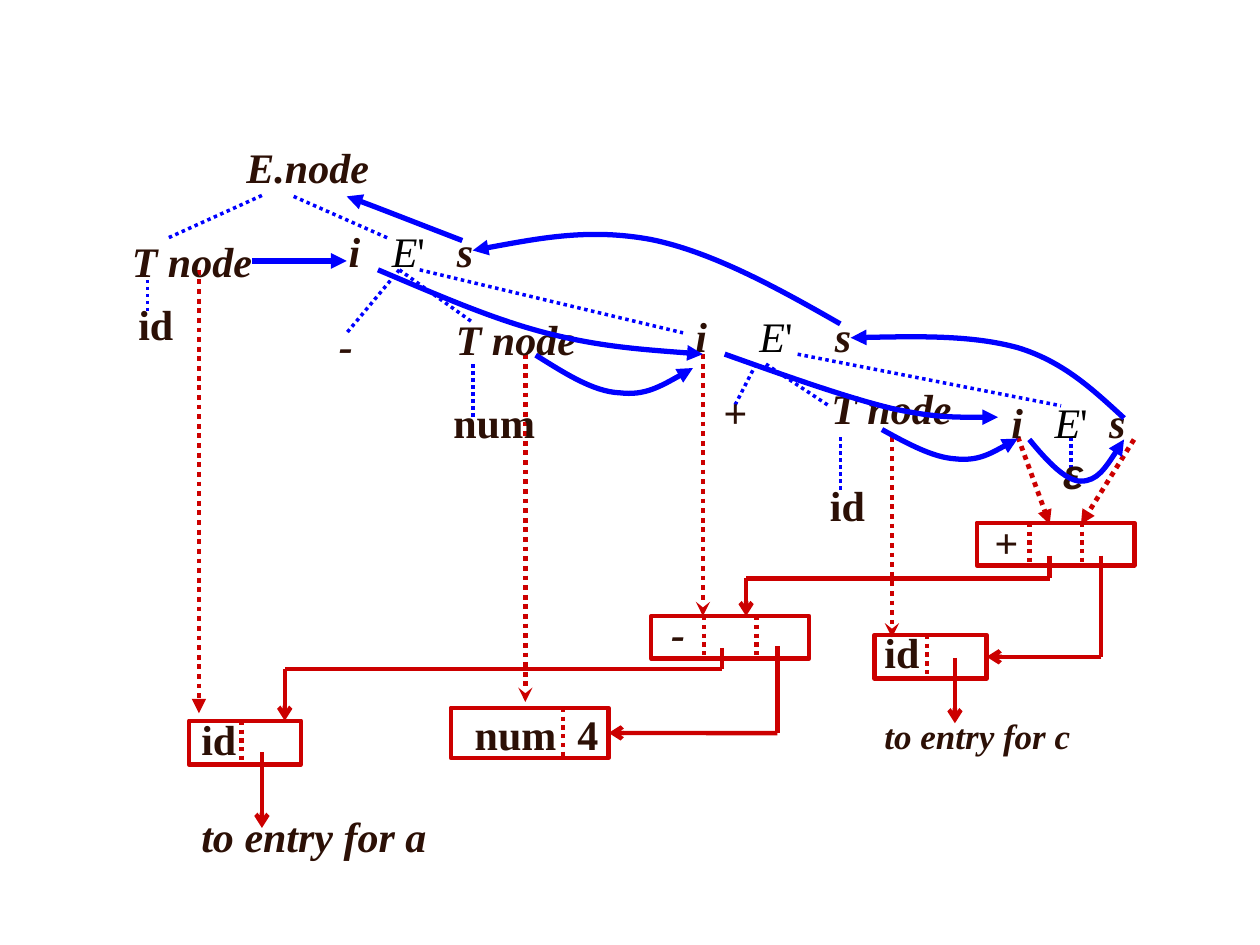
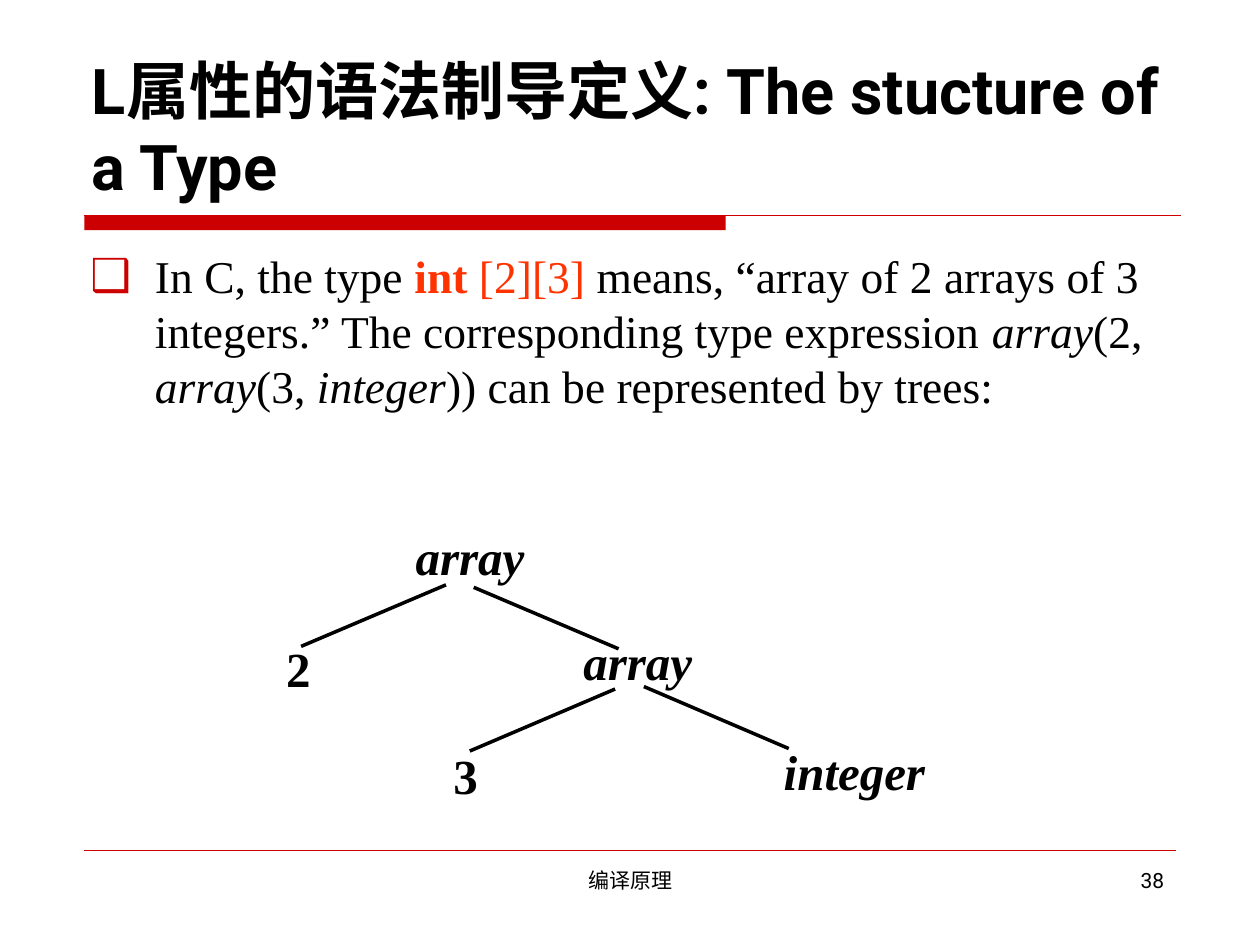
from dataclasses import dataclass
from itertools import pairwise

from lxml.etree import SubElement
from pptx import Presentation
from pptx.dml.color import RGBColor
from pptx.enum.dml import MSO_LINE
from pptx.enum.shapes import MSO_CONNECTOR, MSO_SHAPE
from pptx.enum.text import MSO_ANCHOR, PP_ALIGN
from pptx.oxml.ns import qn
from pptx.util import Cm, Pt

COLORS = {
    "flow": "0000FF",
    "red": "CC0000",
    "ink": "2C1006",
    "black": "000000",
    "code": "FF3300",
}


def style(name, size, color, bold=False, italic=False):
    return {"name": name, "size": Pt(size), "bold": bold, "italic": italic}, color


SERIF, SANS = "Times New Roman", "Roboto"
STYLES = {
    "attribute": style(SERIF, 24, "ink", True, True),
    "token": style(SERIF, 24, "ink", True),
    "epsilon": style("Arial", 24, "ink", True, True),
    "entry": style(SERIF, 20, "ink", True, True),
    "symbol": style(SERIF, 24, "black", False, True),
    "prime": style(SERIF, 24, "black"),
    "title": style(SANS, 36, "black", True),
    "footer": style(SANS, 12, "black"),
    "body": style(SERIF, 26, "black"),
    "body italic": style(SERIF, 26, "black", False, True),
    "type name": style(SERIF, 26, "code", True),
    "type size": style(SERIF, 26, "code"),
    "constructor": style(SERIF, 28, "black", True, True),
    "number": style(SERIF, 28, "black", True),
}


@dataclass
class Label:
    left: float
    top: float
    width: float
    runs: tuple
    height: float = 1.27
    inset: tuple = (0.25, 0.13)
    align: PP_ALIGN = PP_ALIGN.LEFT


@dataclass
class Record:
    left: float
    top: float
    width: float
    height: float
    cell: float
    dividers: int


@dataclass
class Stroke:
    color: str
    width: float
    dotted: bool = False
    head: str = ""


BRANCH = Stroke("flow", 2, dotted=True)
FLOW = Stroke("flow", 3, head="triangle")
BORDER = Stroke("red", 2.5)
DIVIDER = Stroke("red", 2.5, dotted=True)
POINTER = Stroke("red", 2.5, head="arrow")
NODE_LINK = Stroke("red", 2.75, dotted=True, head="triangle")
STEALTH_LINK = Stroke("red", 2.75, dotted=True, head="stealth")
TREE_EDGE = Stroke("black", 2)


def rgb(key: str) -> RGBColor:
    return RGBColor.from_string(COLORS[key])


def apply_stroke(line, stroke: Stroke) -> None:
    line.color.rgb = rgb(stroke.color)
    line.width = Pt(stroke.width)
    if stroke.dotted:
        line.dash_style = MSO_LINE.ROUND_DOT
    if stroke.head:
        SubElement(line._get_or_add_ln(), qn("a:tailEnd"), type=stroke.head)


def draw_line(slide, start: tuple, end: tuple, stroke: Stroke):
    connector = slide.shapes.add_connector(
        MSO_CONNECTOR.STRAIGHT, *map(Cm, start + end))
    apply_stroke(connector.line, stroke)
    SubElement(connector._element.spPr, qn("a:effectLst"))
    return connector


def draw_pointer(slide, points: list, target=None) -> None:
    legs = list(pairwise(points))
    for start, end in legs[:-1]:
        draw_line(slide, start, end, BORDER)
    arrow = draw_line(slide, *legs[-1], POINTER)
    if target:
        arrow.end_connect(target, 3)


def draw_curve(slide, points: list) -> None:
    corners = [(Cm(x), Cm(y)) for x, y in points]
    builder = slide.shapes.build_freeform(*corners[0])
    builder.add_line_segments(corners[1:], close=False)
    curve = builder.convert_to_shape()
    outline = curve._element.spPr.find(".//" + qn("a:path"))
    segments = outline.findall(qn("a:lnTo"))
    for i in range(0, len(segments), 3):
        bezier = SubElement(outline, qn("a:cubicBezTo"))
        for segment in segments[i:i + 3]:
            bezier.append(segment[0])
            outline.remove(segment)
    curve.fill.background()
    curve.shadow.inherit = False
    apply_stroke(curve.line, FLOW)


def draw_record(slide, record: Record):
    box = slide.shapes.add_shape(
        MSO_SHAPE.RECTANGLE, Cm(record.left), Cm(record.top),
        Cm(record.width), Cm(record.height))
    box.fill.background()
    box.shadow.inherit = False
    apply_stroke(box.line, BORDER)
    for n in range(1, record.dividers + 1):
        x = record.left + n * record.cell
        draw_line(slide, (x, record.top), (x, record.top + record.height), DIVIDER)
    return box


def write_runs(paragraph, runs: tuple) -> None:
    for text, key in runs:
        run = paragraph.add_run()
        run.text = text
        formats, color = STYLES[key]
        for attribute, value in formats.items():
            setattr(run.font, attribute, value)
        run.font.color.rgb = rgb(color)


def draw_label(slide, label: Label) -> None:
    frame = slide.shapes.add_textbox(
        Cm(label.left), Cm(label.top), Cm(label.width), Cm(label.height)).text_frame
    side, edge = label.inset
    formats = {"word_wrap": True, "margin_left": Cm(side), "margin_right": Cm(side),
               "margin_top": Cm(edge), "margin_bottom": Cm(edge)}
    for attribute, value in formats.items():
        setattr(frame, attribute, value)
    frame.paragraphs[0].alignment = label.align
    write_runs(frame.paragraphs[0], label.runs)


def fill_placeholder(placeholder, box: tuple, runs: tuple, anchor: MSO_ANCHOR):
    for attribute, value in zip(("left", "top", "width", "height"), box):
        setattr(placeholder, attribute, Cm(value))
    placeholder.text_frame.vertical_anchor = anchor
    paragraph = placeholder.text_frame.paragraphs[0]
    paragraph.alignment = PP_ALIGN.LEFT
    write_runs(paragraph, runs)
    return paragraph


def draw_frame(slide, title: tuple, number: str) -> None:
    band = slide.shapes.add_shape(
        MSO_SHAPE.RECTANGLE, Cm(1.7), Cm(4.34), Cm(12.93), Cm(0.3))
    band.fill.solid()
    band.fill.fore_color.rgb = rgb("red")
    band.line.fill.background()
    band.shadow.inherit = False
    draw_line(slide, (1.7, 4.34), (23.8, 4.34), Stroke("red", 0.75))
    draw_line(slide, (1.7, 17.15), (23.7, 17.15), Stroke("red", 0.25))
    draw_label(slide, Label(8.69, 17.35, 8.05, (("编译原理", "footer"),),
                            align=PP_ALIGN.CENTER))
    draw_label(slide, Label(18.21, 17.35, 5.51, ((number, "footer"),),
                            align=PP_ALIGN.RIGHT))
    fill_placeholder(slide.shapes.title, (1.6, 0.84, 22.23, 3.38), title,
                     MSO_ANCHOR.BOTTOM)


def build_syntax_tree(deck) -> None:
    slide = deck.slides.add_slide(deck.slide_layouts[6])
    branches = [
        ((5.28, 3.94), (3.38, 4.8)), ((5.92, 3.96), (7.82, 4.8)),
        ((2.97, 5.64), (2.97, 6.27)), ((8.05, 5.44), (6.99, 6.71)),
        ((8.05, 5.44), (9.53, 6.5)), ((9.53, 7.34), (9.53, 8.41)),
        ((8.46, 5.44), (13.77, 6.71)), ((15.24, 7.34), (14.81, 8.18)),
        ((15.44, 7.34), (16.71, 8.18)), ((16.94, 8.81), (16.94, 9.88)),
        ((16.08, 7.14), (21.39, 8.18)), ((21.59, 8.81), (21.59, 9.45)),
    ]
    for start, end in branches:
        draw_line(slide, start, end, BRANCH)

    draw_record(slide, Record(19.69, 10.54, 3.18, 0.86, 1.06, 2))
    draw_record(slide, Record(13.13, 12.42, 3.18, 0.86, 1.06, 2))
    draw_record(slide, Record(3.81, 14.53, 2.26, 0.88, 1.06, 1))
    num_record = draw_record(slide, Record(9.09, 14.27, 3.18, 1.01, 2.26, 1))
    c_record = draw_record(slide, Record(17.63, 12.8, 2.26, 0.88, 1.06, 1))

    node_links = [
        ((20.52, 8.81), (21.16, 10.57), NODE_LINK),
        ((22.86, 8.86), (21.79, 10.57), NODE_LINK),
        ((4.01, 5.44), (4.01, 14.38), NODE_LINK),
        ((10.59, 7.14), (10.59, 14.15), STEALTH_LINK),
        ((14.17, 7.14), (14.17, 12.42), STEALTH_LINK),
        ((17.98, 8.81), (17.98, 12.85), STEALTH_LINK),
    ]
    for start, end, stroke in node_links:
        draw_line(slide, start, end, stroke)

    pointers = [
        ([(5.28, 15.16), (5.28, 16.69)], None),
        ([(19.25, 13.26), (19.25, 14.58)], None),
        ([(14.55, 13.06), (14.55, 13.49), (5.74, 13.49), (5.74, 14.53)], None),
        ([(15.67, 13.03), (15.67, 14.78), (12.27, 14.78)], num_record),
        ([(21.16, 11.2), (21.16, 11.66), (15.04, 11.66), (15.04, 12.42)], None),
        ([(22.2, 11.2), (22.2, 13.24), (19.89, 13.24)], c_record),
    ]
    for points, target in pointers:
        draw_pointer(slide, points, target)

    words = [
        (4.72, 2.72, 3.2, "E.node", "attribute"),
        (2.41, 4.62, 3.2, "T node", "attribute"),
        (8.94, 6.2, 3.2, "T node", "attribute"),
        (16.51, 7.59, 3.2, "T node", "attribute"),
        (6.58, 6.32, 1, "-", "attribute"),
        (14.33, 7.67, 1.2, "+", "attribute"),
        (19.79, 10.29, 1.2, "+", "attribute"),
        (13.28, 12.12, 1, "-", "attribute"),
        (21.18, 8.89, 1.2, "ε", "epsilon"),
        (2.54, 5.89, 1.5, "id", "token"),
        (16.48, 9.53, 1.5, "id", "token"),
        (3.81, 14.25, 1.5, "id", "token"),
        (17.58, 12.5, 1.5, "id", "token"),
        (8.89, 7.87, 2.5, "num", "token"),
        (9.32, 14.15, 2.5, "num", "token"),
        (11.39, 14.15, 1.2, "4", "token"),
        (3.81, 16.2, 6, "to entry for a", "attribute"),
        (17.58, 14.28, 5, "to entry for c", "entry"),
    ]
    for left, top, width, text, key in words:
        draw_label(slide, Label(left, top, width, ((text, key),)))

    expression_rests = [
        (4.42, 6.78, 7.65, 8.96),
        (6.12, 13.77, 15.06, 16.58),
        (7.87, 20.14, 21.01, 22.11),
    ]
    for top, inherited, symbol, synthesized in expression_rests:
        draw_label(slide, Label(inherited, top, 1, (("i", "attribute"),)))
        draw_label(slide, Label(symbol, top, 1.5, (("E", "symbol"), ("'", "prime"))))
        draw_label(slide, Label(synthesized, top, 1.1, (("s", "attribute"),)))

    draw_line(slide, (5.08, 5.26), (6.99, 5.26), FLOW)
    flows = [
        [(7.62, 5.44), (8.76, 5.92), (9.91, 6.43), (11, 6.71),
         (12.09, 6.99), (13.13, 7.06), (14.17, 7.14)],
        [(10.8, 7.16), (11.38, 7.52), (11.96, 7.9), (12.5, 7.92),
         (13, 7.98), (13.49, 7.7), (13.97, 7.42)],
        [(14.61, 7.14), (15.82, 7.57), (17.02, 8), (17.96, 8.23),
         (18.87, 8.43), (19.48, 8.41), (20.12, 8.41)],
        [(20.75, 8.86), (21.11, 9.3), (21.49, 9.7), (21.79, 9.7),
         (22.12, 9.7), (22.38, 9.3), (22.66, 8.86)],
        [(22.66, 8.43), (22.05, 7.87), (21.44, 7.29), (20.52, 7.01),
         (19.61, 6.76), (18.39, 6.78), (17.15, 6.81)],
        [(16.94, 6.53), (15.65, 5.79), (14.35, 5.08), (13.13, 4.83),
         (11.89, 4.6), (10.72, 4.83), (9.53, 5.05)],
        [(9.32, 4.85), (8.33, 4.47), (7.37, 4.09), (6.99, 3.96)],
        [(17.78, 8.66), (18.29, 8.94), (18.8, 9.22), (19.25, 9.25),
         (19.71, 9.3), (20.12, 9.07), (20.52, 8.84)],
    ]
    for points in flows:
        draw_curve(slide, points)


def build_type_structure(deck) -> None:
    slide = deck.slides.add_slide(deck.slide_layouts[1])
    draw_frame(slide, (("L属性的语法制导定义: The stucture of a Type", "title"),), "38")
    sentence = (
        ("In C, the type ", "body"), ("int", "type name"), (" [2][3]", "type size"),
        (" means, “array of 2 arrays of 3 integers.” The corresponding type "
         "expression ", "body"),
        ("array", "body italic"), ("(2, ", "body"), ("array", "body italic"),
        ("(3, ", "body"), ("integer", "body italic"),
        (")) can be represented by trees:", "body"),
    )
    paragraph = fill_placeholder(slide.placeholders[1], (1.57, 4.88, 22.23, 11.86),
                                 sentence, MSO_ANCHOR.TOP)
    paragraph.space_before = Pt(6.5)
    properties = paragraph._p.get_or_add_pPr()
    properties.set("marL", str(Cm(1.3)))
    properties.set("indent", str(-Cm(1.3)))
    bullet_color = SubElement(properties, qn("a:buClr"))
    SubElement(bullet_color, qn("a:srgbClr"), val=COLORS["red"])
    SubElement(properties, qn("a:buChar"), char="❑")

    edges = [((8.99, 11.79), (6.07, 13.03)), ((9.55, 11.84), (12.47, 13.08)),
             ((12.98, 13.84), (15.9, 15.09)), ((12.4, 13.89), (9.47, 15.14))]
    for start, end in edges:
        draw_line(slide, start, end, TREE_EDGE)
    nodes = [(8.33, 10.59, "array", "constructor"), (11.71, 12.7, "array", "constructor"),
             (15.75, 14.91, "integer", "constructor"), (9.09, 14.99, "3", "number"),
             (5.72, 12.85, "2", "number")]
    for left, top, text, key in nodes:
        draw_label(slide, Label(left, top, 3.2, ((text, key),), inset=(0.05, 0.03)))


def main() -> None:
    deck = Presentation()
    deck.slide_width, deck.slide_height = Cm(25.4), Cm(19.05)
    build_syntax_tree(deck)
    build_type_structure(deck)
    deck.save("out.pptx")


if __name__ == "__main__":
    main()
